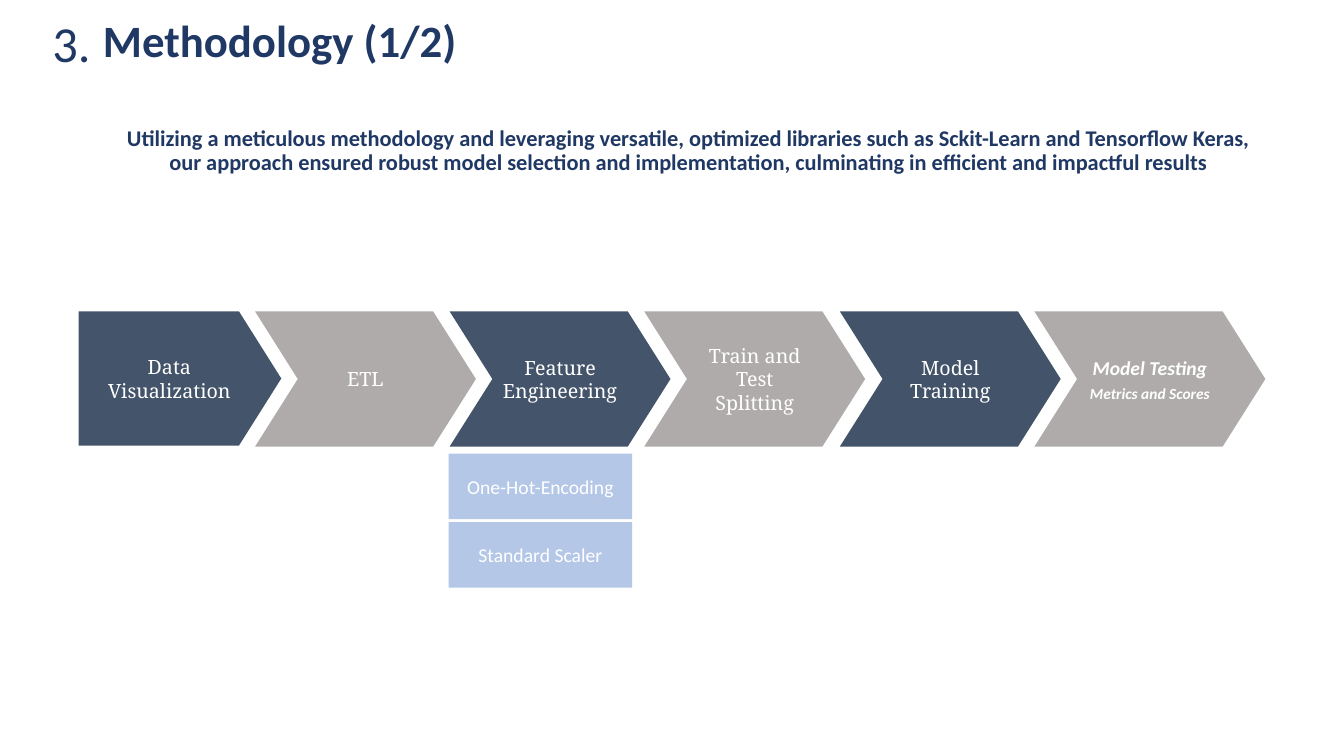
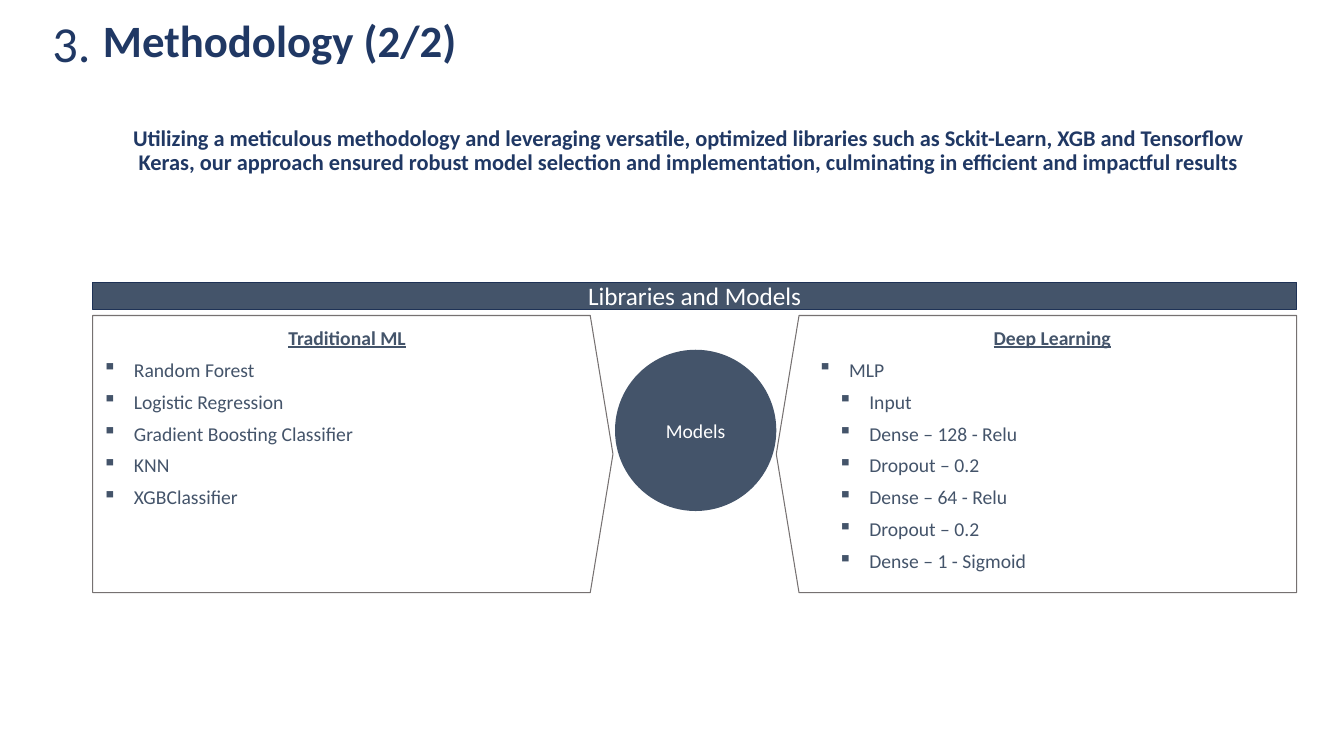
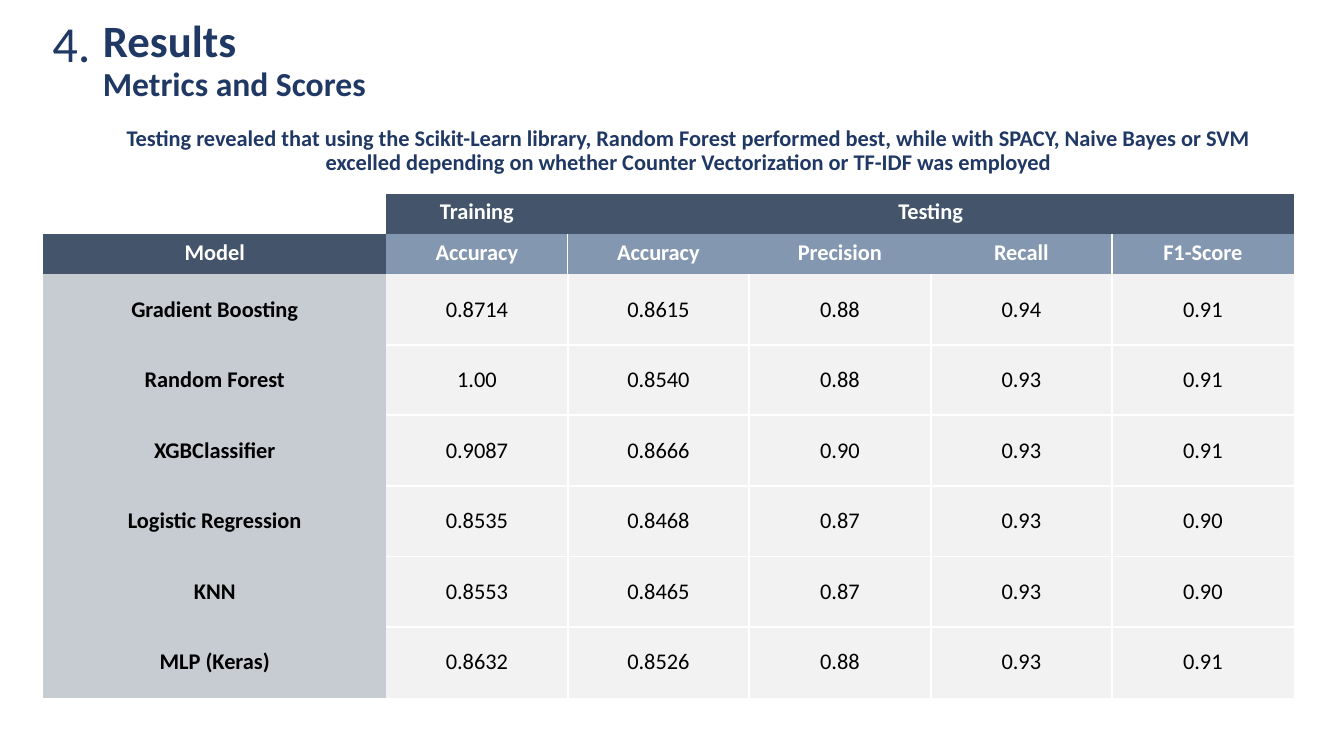
from lxml import etree
from pptx import Presentation
from pptx.dml.color import RGBColor
from pptx.enum.shapes import MSO_SHAPE as SHAPE
from pptx.enum.text import MSO_ANCHOR as ANCHOR, MSO_AUTO_SIZE as AUTO, PP_ALIGN as ALIGN
from pptx.oxml.ns import qn
from pptx.util import Emu, Pt

NAVY = RGBColor(0x20, 0x38, 0x64)
SLATE = RGBColor(0x44, 0x54, 0x6A)
SLATE_DARK = RGBColor(0x43, 0x53, 0x6A)
EDGE_NAVY = RGBColor(0x1E, 0x32, 0x56)
STEEL = RGBColor(0x84, 0x97, 0xB0)
SKY = RGBColor(0xB4, 0xC7, 0xE7)
GREY = RGBColor(0xAF, 0xAB, 0xAB)
EDGE_GREY = RGBColor(0x76, 0x71, 0x71)
MIST = RGBColor(0xC7, 0xCC, 0xD3)
PALE = RGBColor(0xF2, 0xF2, 0xF2)
WHITE = RGBColor(0xFF, 0xFF, 0xFF)
BLACK = RGBColor(0, 0, 0)
SANS, SERIF = "Calibri", "Noto Serif"
INSETS = (10, 5, 10, 5)
NO_GRID = "{2D5ABB26-0587-4C30-8999-92F81FD0307C}"


def px(n):
    """100 px to the inch."""
    return Emu(n * 9144)


def place(sp, box):
    sp.left, sp.top, sp.width, sp.height = map(px, box)


def set_margins(obj, insets):
    """Works for text frames and for table cells."""
    obj.margin_left, obj.margin_top, obj.margin_right, obj.margin_bottom = map(px, insets)


def set_frame(tf, anchor=ANCHOR.MIDDLE, insets=INSETS, auto=AUTO.NONE):
    tf.word_wrap = True
    tf.auto_size = auto
    tf.vertical_anchor = anchor
    set_margins(tf, insets)


def set_bullet(p, indent, hang, char):
    pPr = p._p.get_or_add_pPr()
    pPr.set("marL", str(px(indent)))
    pPr.set("indent", str(px(-hang)))
    if char:
        etree.SubElement(pPr, qn("a:buChar")).set("char", char)
    else:
        etree.SubElement(pPr, qn("a:buNone"))


def write(tf, lines, **base):
    """Each line is a text, or a text with its own format."""
    for i, line in enumerate([lines] if isinstance(lines, str) else lines):
        text, own = (line, {}) if isinstance(line, str) else line
        fmt = {**base, **own}
        p = tf.paragraphs[0] if i == 0 else tf.add_paragraph()
        p.alignment = fmt.get("align", ALIGN.CENTER)
        p.level = fmt.get("level", 0)
        p.space_before = Pt(fmt.get("before", 0))
        p.line_spacing = fmt.get("spacing", 1.0)
        set_bullet(p, fmt.get("indent", 0), fmt.get("hang", 0), fmt.get("bullet"))
        r = p.add_run()
        r.text = text
        r.font.name = fmt.get("font", SANS)
        r.font.size = Pt(fmt.get("size", 14))
        r.font.bold = fmt.get("bold", False)
        r.font.italic = fmt.get("italic", False)
        r.font.underline = fmt.get("underline", False)
        r.font.color.rgb = fmt.get("color", WHITE)


def add_block(shapes, kind, box, fill, lines, edge=None, adj=None,
              anchor=ANCHOR.MIDDLE, insets=INSETS, **fmt):
    sp = shapes.add_shape(kind, *map(px, box))
    sp.shadow.inherit = False
    sp.fill.solid()
    sp.fill.fore_color.rgb = fill
    if edge:
        sp.line.color.rgb, sp.line.width = edge[0], Pt(edge[1])
    else:
        sp.line.fill.background()
    if adj is not None:
        sp.adjustments[0] = adj
    set_frame(sp.text_frame, anchor, insets)
    write(sp.text_frame, lines, **fmt)
    return sp


# Heading shared by all slides: number, title and key message
def add_slide(prs, number, title, message):
    s = prs.slides.add_slide(prs.slide_layouts[1])
    heading, body = s.placeholders
    place(heading, (92, -9, 1150, 145))
    set_frame(heading.text_frame, ANCHOR.TOP, (10, 28, 10, 5))
    write(heading.text_frame, title, size=32, bold=True, color=NAVY,
          align=ALIGN.LEFT, spacing=0.9)
    place(body, (108, 109, 1150, 82))
    set_frame(body.text_frame)
    write(body.text_frame, message, size=16, bold=True, color=NAVY, spacing=0.9)
    tf = s.shapes.add_textbox(*map(px, (42, 7, 71, 71))).text_frame
    set_frame(tf, ANCHOR.TOP, auto=AUTO.SHAPE_TO_FIT_TEXT)
    write(tf, number, size=36, color=NAVY, align=ALIGN.LEFT)
    return s


# Process chain with the techniques below its third step
def add_process(s, x, y):
    shapes = s.shapes.add_group_shape().shapes
    add_block(shapes, SHAPE.PENTAGON, (x, y, 201, 133), SLATE,
              "Data Visualization", adj=0.315, font=SERIF)
    testing = [("Model Testing", {}), ("Metrics and Scores", {"size": 11})]
    steps = [
        ("ETL", GREY, 219, {"font": SERIF, "insets": (0, 5, 0, 5)}),
        ("Feature Engineering", SLATE, 219, {"font": SERIF}),
        ("Train and Test Splitting", GREY, 219, {"font": SERIF}),
        ("Model Training", SLATE_DARK, 219, {"font": SERIF}),
        (testing, GREY, 229, {"bold": True, "italic": True, "before": 3}),
    ]
    for i, (lines, fill, width, fmt) in enumerate(steps):
        left = x + 175 + round(193.25 * i)
        add_block(shapes, SHAPE.CHEVRON, (left, y, width, 134), fill, lines,
                  adj=0.316, **fmt)
    for i, technique in enumerate(["One-Hot-Encoding", "Standard Scaler"]):
        add_block(shapes, SHAPE.RECTANGLE, (x + 367, y + 141 + 68 * i, 182, 65),
                  SKY, technique)


# Banner over two facing lists with a disc between them
def add_model_lists(s, x, y, width):
    panel, disc = 516, 160
    bullet = {"align": ALIGN.LEFT, "bold": False, "underline": False,
              "bullet": "▪", "indent": 31, "hang": 31}
    nested = {**bullet, "level": 1, "indent": 51}
    classic = ["Random Forest", "Logistic Regression", "Gradient Boosting Classifier",
               "KNN", "XGBClassifier"]
    layers = ["Input", "Dense – 128 - Relu", "Dropout – 0.2", "Dense – 64 - Relu",
              "Dropout – 0.2", "Dense – 1 - Sigmoid"]
    panels = [
        (x, 10, ["Traditional ML"] + [(t, bullet) for t in classic]),
        (x + width - panel, 30,
         ["Deep Learning", ("MLP", bullet)] + [(t, nested) for t in layers]),
    ]
    for left, inset, lines in panels:
        sp = add_block(s.shapes, SHAPE.PENTAGON, (left, y + 33, panel, 275), WHITE, lines,
                       edge=(EDGE_GREY, 0.75), adj=0.082, anchor=ANCHOR.TOP,
                       insets=(inset, 10, 10, 10), color=SLATE, bold=True,
                       underline=True, before=6)
        if left > x:
            sp.element.spPr.get_or_add_xfrm().set("flipH", "1")
    add_block(s.shapes, SHAPE.OVAL, (x + (width - disc) // 2 + 1, y + 67, disc, disc),
              SLATE, "Models", insets=(10, 10, 10, 10))
    add_block(s.shapes, SHAPE.RECTANGLE, (x, y, width, 27), SLATE,
              "Libraries and Models", edge=(EDGE_NAVY, 1), size=18)


def add_border(cell, side, width):
    ln = etree.Element(qn("a:ln" + side), w=str(Pt(width)))
    fill = etree.SubElement(ln, qn("a:solidFill"))
    etree.SubElement(fill, qn("a:srgbClr")).set("val", str(WHITE))
    tcPr = cell._tc.get_or_add_tcPr()
    tcPr.insert(len(tcPr.findall(qn("a:lnR"))), ln)


def set_cell(cell, text, fill, anchor=ANCHOR.TOP, insets=INSETS, **fmt):
    cell.fill.solid()
    cell.fill.fore_color.rgb = fill
    cell.vertical_anchor = anchor
    set_margins(cell, insets)
    write(cell.text_frame, text, size=16, **fmt)


# Score table: two header rows, then one row for each model
def add_scores(s, x, y, rows):
    widths, heights = [340] + [180] * 5, [40] * 2 + [70] * len(rows)
    table = s.shapes.add_table(len(heights), len(widths), px(x), px(y),
                               px(sum(widths)), px(sum(heights))).table
    table.first_row = table.horz_banding = False
    table._tbl.tblPr.find(qn("a:tableStyleId")).text = NO_GRID
    for col, w in zip(table.columns, widths):
        col.width = px(w)
    for row, h in zip(table.rows, heights):
        row.height = px(h)

    for j, text in enumerate(["", "Training", "Testing", "", "", ""]):
        set_cell(table.cell(0, j), text, SLATE if j else WHITE, bold=True)
    table.cell(0, 2).merge(table.cell(0, 5))
    measures = ["Model", "Accuracy", "Accuracy", "Precision", "Recall", "F1-Score"]
    for j, text in enumerate(measures):
        set_cell(table.cell(1, j), text, STEEL if j else SLATE, bold=True)
    add_border(table.cell(1, 1), "R", 1)
    add_border(table.cell(1, 4), "R", 1.5)

    for i, (model, *scores) in enumerate(rows, 2):
        set_cell(table.cell(i, 0), model, MIST, ANCHOR.MIDDLE, bold=True, color=BLACK)
        for j, score in enumerate(scores, 1):
            cell = table.cell(i, j)
            set_cell(cell, score, PALE, ANCHOR.MIDDLE, (0, 5, 0, 5), color=BLACK)
            if j < len(scores):
                add_border(cell, "R", 1.5)
            if i < len(heights) - 1:
                add_border(cell, "B", 1.5)


SCORES = [
    ("Gradient Boosting", "0.8714", "0.8615", "0.88", "0.94", "0.91"),
    ("Random Forest", "1.00", "0.8540", "0.88", "0.93", "0.91"),
    ("XGBClassifier", "0.9087", "0.8666", "0.90", "0.93", "0.91"),
    ("Logistic Regression", "0.8535", "0.8468", "0.87", "0.93", "0.90"),
    ("KNN", "0.8553", "0.8465", "0.87", "0.93", "0.90"),
    ("MLP (Keras)", "0.8632", "0.8526", "0.88", "0.93", "0.91"),
]
APPROACH = ("Utilizing a meticulous methodology and leveraging versatile, optimized libraries "
            "such as {} and Tensorflow Keras, our approach ensured robust model selection and "
            "implementation, culminating in efficient and impactful results")
FINDING = ("Testing revealed that using the Scikit-Learn library, Random Forest performed best, "
           "while with SPACY, Naive Bayes or SVM excelled depending on whether Counter "
           "Vectorization or TF-IDF was employed")


def main():
    prs = Presentation()
    prs.slide_width, prs.slide_height = px(1333), px(750)

    s = add_slide(prs, "3.", "Methodology (1/2)", APPROACH.format("Sckit-Learn"))
    add_process(s, 78, 309)

    s = add_slide(prs, "3.", "Methodology (2/2)", APPROACH.format("Sckit-Learn, XGB"))
    add_model_lists(s, 92, 280, 1194)

    s = add_slide(prs, "4.", ["Results", ("Metrics and Scores", {"size": 24})], FINDING)
    add_scores(s, 43, 192, SCORES)

    prs.save("out.pptx")


if __name__ == "__main__":
    main()
